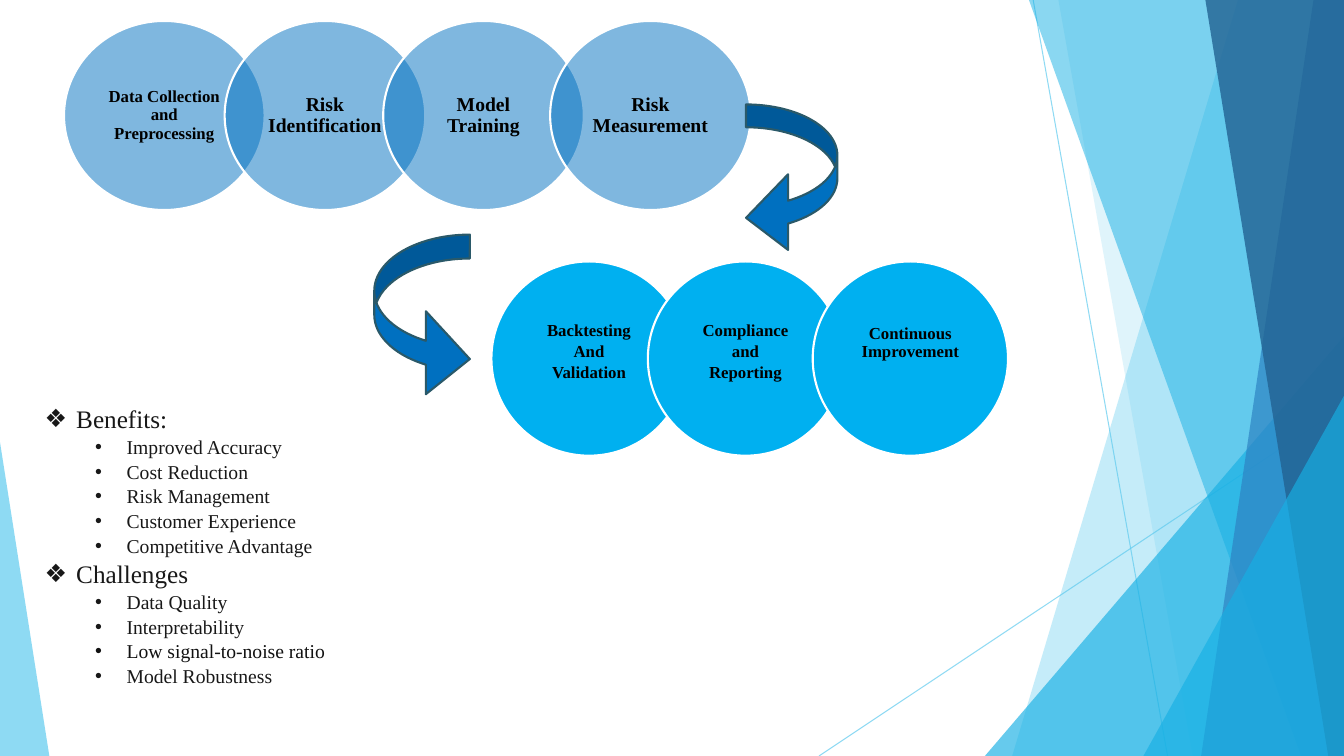
"""Build the risk workflow slide with its benefits and challenges."""
from dataclasses import dataclass

from lxml import etree
from pptx import Presentation
from pptx import util as u
from pptx.dml.color import RGBColor
from pptx.enum import shapes, text
from pptx.oxml.ns import qn

PX = 9525
WIDTH, HEIGHT = 1280, 720


@dataclass(frozen=True)
class Theme:
    font: str = "Times New Roman"
    sky: str = "5FCBEF"
    cyan: str = "17B0E4"
    blue: str = "2E83C3"
    navy: str = "226292"
    stage: str = "0070C0"
    check: str = "00B0F0"
    arrow_edge: str = "2A5969"
    white: str = "FFFFFF"
    black: str = "000000"
    ink: str = "181818"
    dark_ink: str = "111111"
    heading: int = 18
    item: int = 14
    large: int = 14
    small: int = 12
    edge: float = 1.5
    hairline: float = 0.75


T = Theme()


@dataclass(frozen=True)
class Box:
    x: int
    y: int
    w: int
    h: int

    def emu(self) -> tuple:
        return tuple(u.Emu(n * PX) for n in (self.x, self.y, self.w, self.h))


@dataclass(frozen=True)
class Ray:
    x1: int
    y1: int
    x2: int
    y2: int


@dataclass(frozen=True)
class Panel:
    top_x: int
    bottom_x: int
    color: str
    alpha: int


@dataclass(frozen=True)
class Wedge:
    box: Box
    apex: int
    color: str
    alpha: int


@dataclass(frozen=True)
class Circle:
    box: Box
    lines: tuple
    size: int
    color: str
    alpha: int = 100
    anchor: text.MSO_ANCHOR = text.MSO_ANCHOR.MIDDLE
    top: int = 2
    spacing: float = 0.9


@dataclass(frozen=True)
class Arrow:
    box: Box
    rotation: int
    flip: bool = False


@dataclass(frozen=True)
class Item:
    label: str
    level: int = 1
    color: str = T.ink


RAYS = (Ray(984, 0, 1112, HEIGHT), Ray(WIDTH, 387, 780, HEIGHT))
FACETS = (
    Panel(1179, 964, T.sky, 36),
    Panel(1008, 1136, T.sky, 20),
    Wedge(Box(938, 320, 342, 400), 1, T.cyan, 66),
    Panel(980, 1239, T.cyan, 50),
    Panel(1251, 1144, T.blue, 70),
    Panel(1148, 1265, T.navy, 80),
    Wedge(Box(1089, 377, 191, 343), 1, T.cyan, 66),
    Wedge(Box(0, 421, 47, 299), 0, T.sky, 70),
)
STAGES = tuple(
    Circle(Box(x, 20, 191, 180), (label,), size, T.stage, 50)
    for x, label, size in (
        (61, "Data Collection and Preprocessing", T.small),
        (214, "Risk Identification", T.large),
        (365, "Model Training", T.large),
        (524, "Risk Measurement", T.large),
    )
)
CHECKS = tuple(
    Circle(Box(x, 249, 186, 185), lines, T.small, T.check,
           anchor=text.MSO_ANCHOR.TOP, top=top, spacing=spacing)
    for x, lines, top, spacing in (
        (468, ("Backtesting", "And", "Validation"), 28, 1.04),
        (617, ("Compliance", "and", "Reporting"), 28, 1.04),
        (774, ("Continuous Improvement",), 33, 0.9),
    )
)
LEFT_ARROW = Arrow(Box(323, 257, 158, 91), 270, True)
RIGHT_ARROW = Arrow(Box(682, 128, 144, 87), 90)
LIST_BOX = Box(33, 378, 640, 272)
ITEMS = (
    Item("Benefits:", 0),
    Item("Improved Accuracy"),
    Item("Cost Reduction"),
    Item("Risk Management"),
    Item("Customer Experience"),
    Item("Competitive Advantage"),
    Item("Challenges", 0),
    Item("Data Quality"),
    Item("Interpretability"),
    Item("Low signal-to-noise ratio", color=T.dark_ink),
    Item("Model Robustness"),
)


def rgb(color: str) -> RGBColor:
    return RGBColor.from_string(color)


def fade(sp, alpha: int) -> None:
    if alpha < 100:
        clr = next(sp._element.spPr.iter(qn("a:srgbClr")))
        etree.SubElement(clr, qn("a:alpha")).set("val", str(alpha * 1000))


def paint(sp, color: str, alpha: int = 100, edge: str = "") -> None:
    sp.shadow.inherit = False
    sp.fill.solid()
    sp.fill.fore_color.rgb = rgb(color)
    fade(sp, alpha)
    if edge:
        sp.line.color.rgb = rgb(edge)
        sp.line.width = u.Pt(T.edge)
    else:
        sp.line.fill.background()


def add_run(p, label: str, size: int, color: str, bold: bool = False) -> None:
    r = p.add_run()
    r.text = label
    r.font.name, r.font.size, r.font.bold = T.font, u.Pt(size), bold
    r.font.color.rgb = rgb(color)


def draw_ray(s, ray: Ray) -> None:
    ends = (u.Emu(n * PX) for n in (ray.x1, ray.y1, ray.x2, ray.y2))
    sp = s.shapes.add_connector(shapes.MSO_CONNECTOR.STRAIGHT, *ends)
    sp.line.color.rgb = rgb(T.sky)
    sp.line.width = u.Pt(T.hairline)
    fade(sp, 70)
    etree.SubElement(sp._element.spPr, qn("a:effectLst"))


def draw_facet(s, facet: Panel | Wedge) -> None:
    if isinstance(facet, Panel):
        outline = s.shapes.build_freeform(facet.top_x, 0, scale=PX)
        outline.add_line_segments(
            [(WIDTH, 0), (WIDTH, HEIGHT), (facet.bottom_x, HEIGHT)])
        sp = outline.convert_to_shape()
    else:
        sp = s.shapes.add_shape(shapes.MSO_SHAPE.ISOSCELES_TRIANGLE, *facet.box.emu())
        sp.adjustments[0] = facet.apex
    paint(sp, facet.color, facet.alpha)


def draw_circle(s, circle: Circle) -> None:
    sp = s.shapes.add_shape(shapes.MSO_SHAPE.OVAL, *circle.box.emu())
    paint(sp, circle.color, circle.alpha, T.white)
    tf = sp.text_frame
    tf.word_wrap = True
    tf.vertical_anchor = circle.anchor
    tf.margin_left = tf.margin_right = u.Emu(10 * PX)
    tf.margin_top, tf.margin_bottom = u.Emu(circle.top * PX), u.Emu(2 * PX)
    for i, line in enumerate(circle.lines):
        p = tf.add_paragraph() if i else tf.paragraphs[0]
        p.alignment = text.PP_ALIGN.CENTER
        p.line_spacing = circle.spacing
        add_run(p, line, circle.size, T.black, True)


def draw_arrow(s, arrow: Arrow) -> None:
    sp = s.shapes.add_shape(shapes.MSO_SHAPE.CURVED_DOWN_ARROW, *arrow.box.emu())
    for i, value in enumerate((0.25, 1.07, 0.46)):
        sp.adjustments[i] = value
    sp.rotation = arrow.rotation
    if arrow.flip:
        sp._element.spPr.find(qn("a:xfrm")).set("flipH", "1")
    paint(sp, T.stage, edge=T.arrow_edge)


def fill_list(sp) -> None:
    sp.left, sp.top, sp.width, sp.height = LIST_BOX.emu()
    tf = sp.text_frame
    tf.auto_size = text.MSO_AUTO_SIZE.NONE
    tf.vertical_anchor = text.MSO_ANCHOR.TOP
    for i, item in enumerate(ITEMS):
        p = tf.add_paragraph() if i else tf.paragraphs[0]
        p.level = item.level
        p.space_before = u.Pt(0)
        p.line_spacing = 1.05
        pPr = p._p.get_or_add_pPr()
        pPr.set("marL", str((30, 78)[item.level] * PX))
        pPr.set("indent", str(-30 * PX))
        etree.SubElement(pPr, qn("a:buChar")).set("char", "❖•"[item.level])
        add_run(p, item.label, (T.heading, T.item)[item.level], item.color)


def main() -> None:
    prs = Presentation()
    prs.slide_width, prs.slide_height = u.Emu(WIDTH * PX), u.Emu(HEIGHT * PX)
    s = prs.slides.add_slide(prs.slide_layouts[1])
    title = s.shapes.title._element
    title.getparent().remove(title)
    for ray in RAYS:
        draw_ray(s, ray)
    for facet in FACETS:
        draw_facet(s, facet)
    fill_list(s.placeholders[1])
    for circle in CHECKS:
        draw_circle(s, circle)
    draw_arrow(s, LEFT_ARROW)
    for circle in STAGES:
        draw_circle(s, circle)
    draw_arrow(s, RIGHT_ARROW)
    prs.save("out.pptx")


if __name__ == "__main__":
    main()
